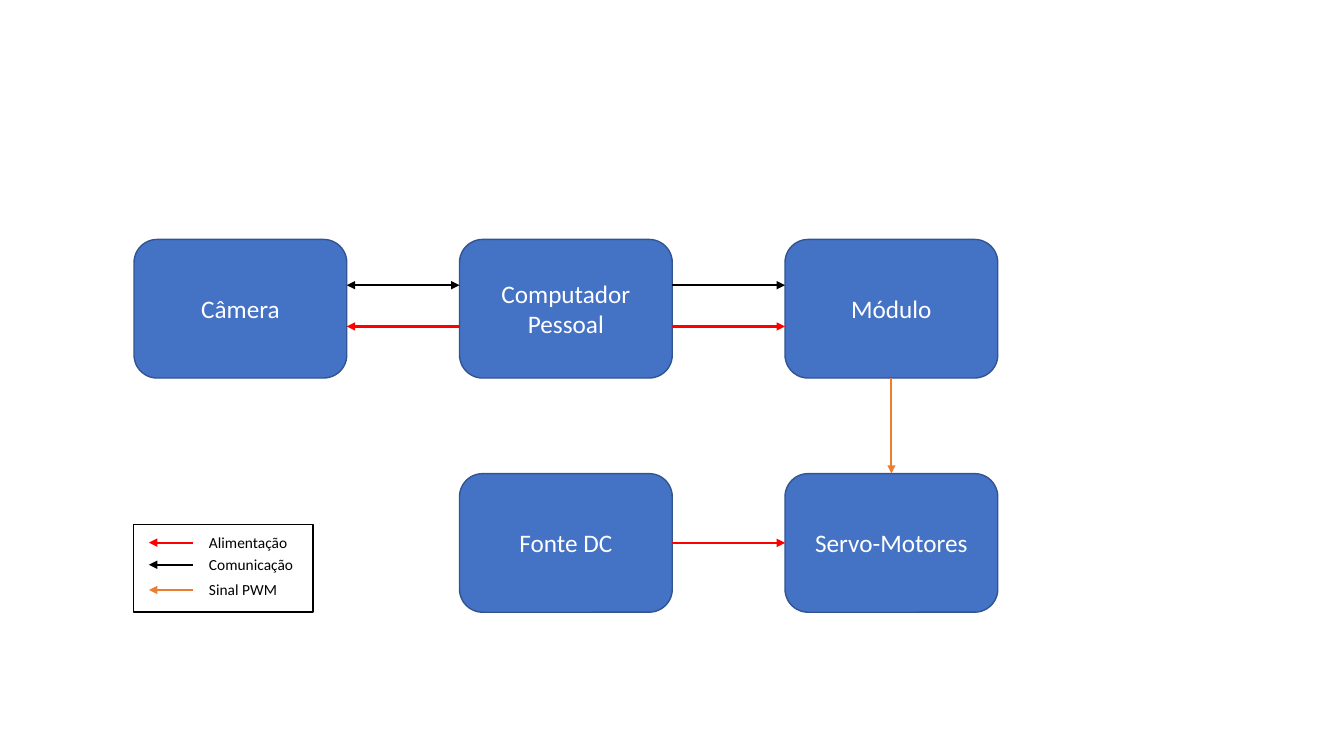
from dataclasses import dataclass

from lxml.etree import SubElement
from pptx import Presentation
from pptx.dml.color import RGBColor
from pptx.enum.shapes import MSO_CONNECTOR as Connector, MSO_SHAPE as Preset
from pptx.enum.text import MSO_ANCHOR as Anchor, MSO_AUTO_SIZE as AutoSize, PP_ALIGN as Align
from pptx.oxml.ns import qn
from pptx.util import Pt

BLUE, BLUE_EDGE = "4472C4", "325491"
POWER, COMMUNICATION, PWM = "FF0000", "000000", "ED7D31"
BLACK, WHITE = "000000", "FFFFFF"

# Grid of the diagram, in points
LEFT, TOP = 95.75, 171
COLUMN_STEP, ROW_STEP = 232.5, 167.3
BLOCK_WIDTH, BLOCK_HEIGHT = 152, 99
UPPER_LANE, LOWER_LANE = 203.7, 233.2
BOTTOM_SIDE, TOP_SIDE, LEFT_SIDE, RIGHT_SIDE = 2, 0, 1, 3


@dataclass
class Block:
    label: str
    column: int
    row: int

    @property
    def left(self) -> float:
        return LEFT + self.column * COLUMN_STEP

    @property
    def right(self) -> float:
        return self.left + BLOCK_WIDTH

    @property
    def top(self) -> float:
        return TOP + self.row * ROW_STEP


@dataclass
class Arrow:
    start: tuple[float, float]
    end: tuple[float, float]
    color: str
    both_ends: bool = False


@dataclass
class LegendEntry:
    label: str
    color: str
    y: float


def rgb(color: str) -> RGBColor:
    return RGBColor.from_string(color)


def write(frame, text: str, *, size: float, color: str, align=Align.LEFT,
          anchor=Anchor.TOP, wrap: bool = True) -> None:
    frame.word_wrap = wrap
    frame.vertical_anchor = anchor
    paragraph = frame.paragraphs[0]
    paragraph.text = text
    paragraph.alignment = align
    for run in paragraph.runs:
        run.font.name = "Calibri"
        run.font.size = Pt(size)
        run.font.color.rgb = rgb(color)


def draw_block(shapes, block: Block):
    box = shapes.add_shape(Preset.ROUNDED_RECTANGLE, Pt(block.left), Pt(block.top),
                           Pt(BLOCK_WIDTH), Pt(BLOCK_HEIGHT))
    box.shadow.inherit = False
    box.fill.solid()
    box.fill.fore_color.rgb = rgb(BLUE)
    box.line.color.rgb = rgb(BLUE_EDGE)
    box.line.width = Pt(1)
    write(box.text_frame, block.label, size=18, color=WHITE,
          align=Align.CENTER, anchor=Anchor.MIDDLE)
    return box


def draw_arrow(shapes, arrow: Arrow):
    connector = shapes.add_connector(Connector.STRAIGHT, *map(Pt, arrow.start + arrow.end))
    connector.line.color.rgb = rgb(arrow.color)
    connector.line.width = Pt(1.5)
    line = connector.line._get_or_add_ln()
    if arrow.both_ends:
        SubElement(line, qn("a:headEnd"), type="triangle")
    SubElement(line, qn("a:tailEnd"), type="triangle")
    SubElement(connector._element.spPr, qn("a:effectLst"))
    return connector


def join(shapes, source, source_side: int, target, target_side: int, color: str) -> None:
    connector = draw_arrow(shapes, Arrow((0, 0), (10, 10), color))
    connector.begin_connect(source, source_side)
    connector.end_connect(target, target_side)


def draw_legend(shapes, entries: list[LegendEntry]) -> None:
    frame = shapes.add_shape(Preset.RECTANGLE, Pt(95.3), Pt(374.5), Pt(128.2), Pt(62.6))
    frame.shadow.inherit = False
    frame.fill.background()
    frame.line.color.rgb = rgb(BLACK)
    frame.line.width = Pt(1)
    for entry in entries:
        draw_arrow(shapes, Arrow((137.7, entry.y), (106.4, entry.y), entry.color))
        label = shapes.add_textbox(Pt(142.2), Pt(entry.y - 10.3), Pt(75), Pt(20.6))
        write(label.text_frame, entry.label, size=11, color=BLACK, wrap=False)
        label.text_frame.auto_size = AutoSize.SHAPE_TO_FIT_TEXT


def main() -> None:
    presentation = Presentation()
    presentation.slide_width, presentation.slide_height = Pt(960), Pt(540)
    shapes = presentation.slides.add_slide(presentation.slide_layouts[6]).shapes

    # Blocks
    camera = Block("Câmera", 0, 0)
    computer = Block("Computador\vPessoal", 1, 0)
    controller = Block("Módulo", 2, 0)
    supply = Block("Fonte DC", 1, 1)
    motors = Block("Servo-Motores", 2, 1)
    draw_block(shapes, camera)
    draw_block(shapes, computer)
    controller_box, supply_box, motors_box = (
        draw_block(shapes, block) for block in (controller, supply, motors))

    # Communication and power lanes
    for arrow in (
        Arrow((camera.right, UPPER_LANE), (computer.left, UPPER_LANE), COMMUNICATION, True),
        Arrow((computer.left, LOWER_LANE), (camera.right, LOWER_LANE), POWER),
        Arrow((computer.right, UPPER_LANE), (controller.left, UPPER_LANE), COMMUNICATION),
        Arrow((computer.right, LOWER_LANE), (controller.left, LOWER_LANE), POWER),
    ):
        draw_arrow(shapes, arrow)

    # Links to the motors
    join(shapes, supply_box, RIGHT_SIDE, motors_box, LEFT_SIDE, POWER)
    join(shapes, controller_box, BOTTOM_SIDE, motors_box, TOP_SIDE, PWM)

    # Legend
    draw_legend(shapes, [
        LegendEntry("Alimentação", POWER, 387.6),
        LegendEntry("Comunicação", COMMUNICATION, 403.4),
        LegendEntry("Sinal PWM", PWM, 421.4),
    ])

    presentation.save("out.pptx")


if __name__ == "__main__":
    main()
